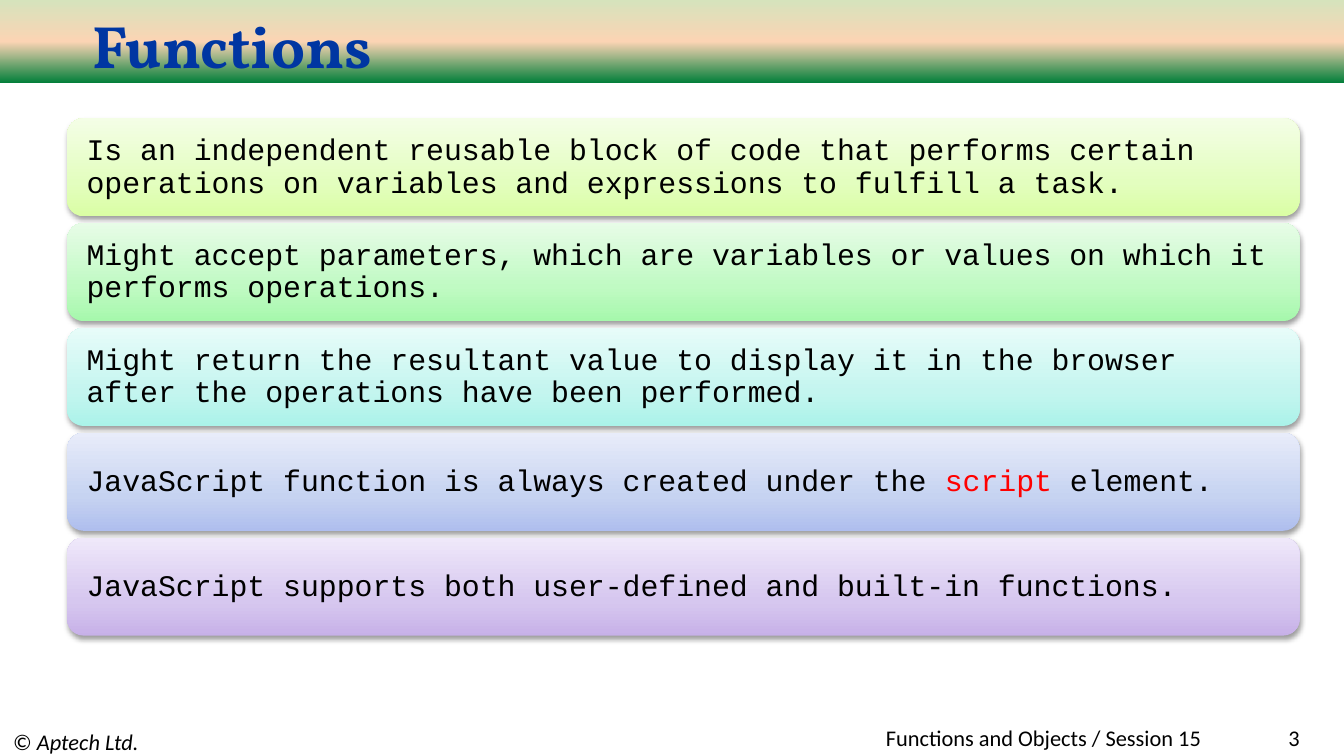
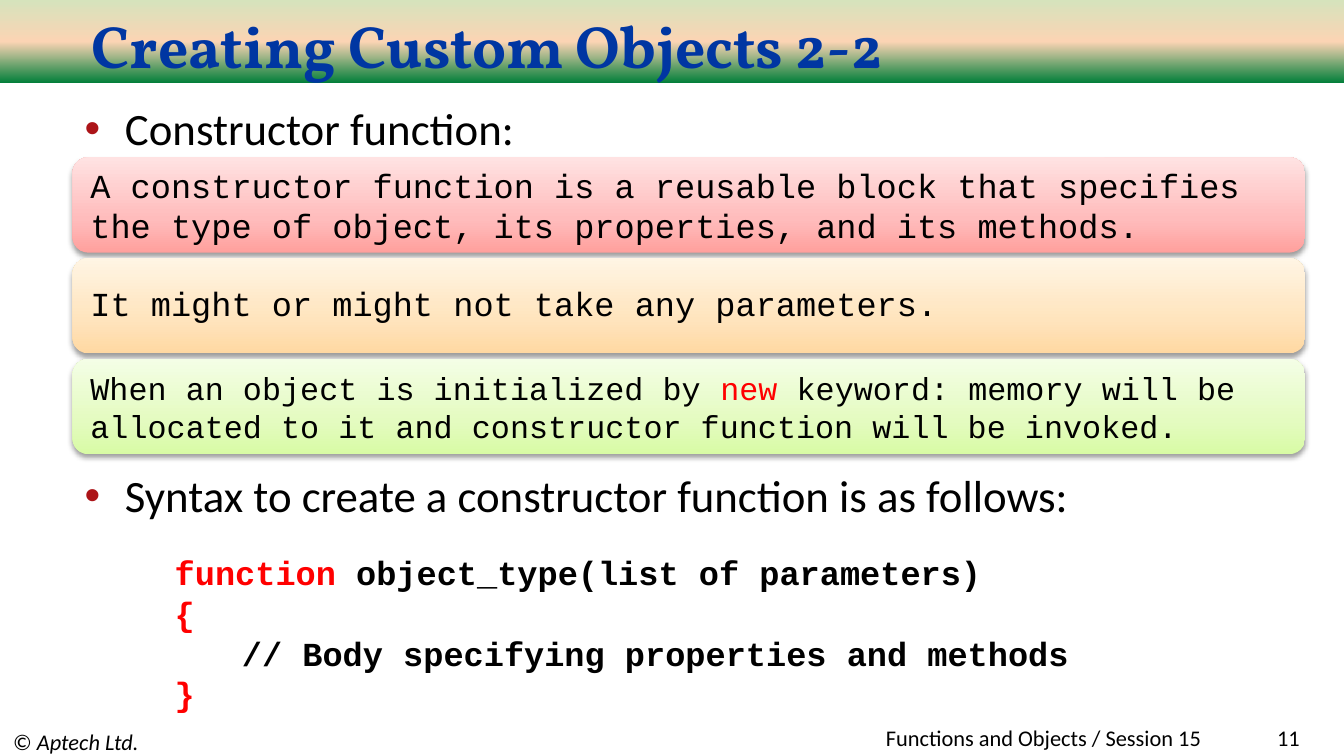
from dataclasses import dataclass
from typing import NamedTuple

from lxml import etree
from pptx import Presentation
from pptx.dml.color import RGBColor
from pptx.enum.shapes import MSO_SHAPE as Shape
from pptx.enum.text import MSO_ANCHOR as Anchor, MSO_AUTO_SIZE as AutoSize, PP_ALIGN as Align
from pptx.oxml.ns import qn
from pptx.util import Inches, Pt


@dataclass(frozen=True)
class Theme:
    heading: str = "Vollkorn"
    body: str = "Calibri"
    code: str = "Courier New"
    title_color: str = "0036A2"
    text: str = "000000"
    keyword: str = "FF0000"
    bullet: str = "AC1418"
    title_size: float = 32
    bullet_size: float = 24
    code_size: float = 18
    footer_size: float = 12
    band: tuple = ((0, "007E39"), (50, "FBD4B4"), (100, "D6E3BC"))


T = Theme()


class Box(NamedTuple):
    left: float
    top: float
    width: float
    height: float


class Insets(NamedTuple):
    left: float = 0.1
    top: float = 0.05
    right: float = 0.1
    bottom: float = 0.05


class Run(NamedTuple):
    text: str
    color: str = T.text
    italic: bool = False


class Line(NamedTuple):
    runs: list
    margin: float
    indent: float
    before: float = 0
    bullet: bool = False


class Card(NamedTuple):
    colors: tuple
    runs: list
    size: float
    spacing: float = 0.9


class Stack(NamedTuple):
    left: float
    top: float
    height: float
    pitch: float
    inset: float
    cards: list


def place(shape, box: Box) -> None:
    shape.left, shape.top, shape.width, shape.height = map(Inches, box)


def prepare(tf, insets: Insets = Insets(), anchor=Anchor.MIDDLE) -> None:
    tf.word_wrap = True
    tf.auto_size = AutoSize.NONE
    tf.vertical_anchor = anchor
    tf.margin_left, tf.margin_top, tf.margin_right, tf.margin_bottom = map(Inches, insets)


def add_runs(p, runs: list, font: str, size: float, bold: bool = False) -> None:
    for run in runs:
        r = p.add_run()
        r.text = run.text
        r.font.name = font
        r.font.size = Pt(size)
        r.font.bold = bold
        r.font.italic = run.italic
        r.font.color.rgb = RGBColor.from_string(run.color)


def add_gradient(shape, stops: tuple) -> None:
    shape.fill.gradient()
    shape.fill.gradient_angle = 90
    gs_list = shape.element.spPr.find(qn("a:gradFill")).find(qn("a:gsLst"))
    for old in list(gs_list):
        gs_list.remove(old)
    for pos, color in stops:
        gs = etree.SubElement(gs_list, qn("a:gs"), pos=str(pos * 1000))
        etree.SubElement(gs, qn("a:srgbClr"), val=color)
    shape.line.fill.background()
    shape.shadow.inherit = False


def add_shadow(shape) -> None:
    effects = shape.element.spPr.find(qn("a:effectLst"))
    shadow = etree.SubElement(effects, qn("a:outerShdw"), blurRad=str(Pt(3.1)),
                              dist=str(Pt(1.6)), dir="5400000", rotWithShape="0")
    color = etree.SubElement(shadow, qn("a:srgbClr"), val="000000")
    etree.SubElement(color, qn("a:alpha"), val="38000")


def add_label(s, box: Box, runs: list, align=Align.LEFT, insets: Insets = Insets()):
    sp = s.shapes.add_textbox(*map(Inches, box))
    prepare(sp.text_frame, insets)
    p = sp.text_frame.paragraphs[0]
    p.alignment = align
    add_runs(p, runs, T.body, T.footer_size)
    return sp


def fill_master(prs, s) -> None:
    band = s.shapes.add_shape(Shape.RECTANGLE, *map(Inches, Box(0, 0, 10, 0.62)))
    add_gradient(band, T.band)
    notice = add_label(s, Box(0, 5.42, 3.33, 0.2), [Run("© "), Run("Aptech Ltd.", italic=True)])
    for offset, sp in enumerate((band, notice)):
        sp.element.xpath("./p:nvSpPr/p:cNvPr")[0].set("id", str(101 + offset))
        prs.slide_master.shapes.element.insert(2 + offset, sp.element)


def add_frame(s, title: str, box: Box, insets: Insets, number: int) -> None:
    sp = s.shapes.title
    place(sp, box)
    prepare(sp.text_frame, insets)
    p = sp.text_frame.paragraphs[0]
    p.alignment = Align.LEFT
    add_runs(p, [Run(title, T.title_color)], T.heading, T.title_size, bold=True)
    add_label(s, Box(8.92, 5.42, 0.85, 0.14), [Run(str(number))], Align.RIGHT)
    add_label(s, Box(2.5, 5.42, 6.58, 0.14), [Run("Functions and Objects / Session 15")],
              Align.RIGHT, Insets(right=0.14))


def add_stack(s, stack: Stack) -> None:
    for i, card in enumerate(stack.cards):
        box = Box(stack.left, stack.top + i * stack.pitch, 9.17, stack.height)
        sp = s.shapes.add_shape(Shape.ROUNDED_RECTANGLE, *map(Inches, box))
        add_gradient(sp, tuple(zip((0, 35, 100), card.colors)))
        add_shadow(sp)
        prepare(sp.text_frame, Insets(left=stack.inset, right=stack.inset))
        p = sp.text_frame.paragraphs[0]
        p.alignment = Align.LEFT
        p.line_spacing = card.spacing
        add_runs(p, card.runs, T.code, card.size)


def fill_body(sp, box: Box, lines: list) -> None:
    place(sp, box)
    tf = sp.text_frame
    prepare(tf, anchor=Anchor.TOP)
    for i, line in enumerate(lines):
        p = tf.add_paragraph() if i else tf.paragraphs[0]
        p.level = 1
        p.alignment = Align.JUSTIFY
        p.space_before = Pt(line.before)
        props = p._p.get_or_add_pPr()
        props.set("marL", str(Inches(line.margin)))
        props.set("indent", str(Inches(line.indent)))
        if line.bullet:
            color = etree.SubElement(props, qn("a:buClr"))
            etree.SubElement(color, qn("a:srgbClr"), val=T.bullet)
            etree.SubElement(props, qn("a:buFont"), typeface="Arial")
            etree.SubElement(props, qn("a:buChar"), char="•")
            add_runs(p, line.runs, T.body, T.bullet_size)
        else:
            etree.SubElement(props, qn("a:buNone"))
            add_runs(p, line.runs, T.code, T.code_size, bold=True)


def bullet(text: str) -> Line:
    return Line([Run(text)], 0.5, -0.3, bullet=True)


def code(*runs: Run, indent: float = -0.5, before: float = 0) -> Line:
    return Line(list(runs), 1.37, indent, before)


FUNCTIONS = Stack(0.5, 0.88, 0.73, 0.78, 0.11, [
    Card(("DAFEA4", "E3FEBF", "F4FEE6"),
         [Run("Is an independent reusable block of code that performs certain "
              "operations on variables and expressions to fulfill a task.")], 16),
    Card(("A6F8AC", "C0FAC3", "E7FCE7"),
         [Run("Might accept parameters, which are variables or values on which it "
              "performs operations.")], 16),
    Card(("ABF3E9", "C4F5EF", "E7FCF9"),
         [Run("Might return the resultant value to display it in the browser "
              "after the operations have been performed.")], 16),
    Card(("AFBEEE", "C6D3F1", "E8ECFA"),
         [Run("JavaScript function is always created under the "),
          Run("script ", T.keyword), Run("element.")], 16),
    Card(("C7B1E8", "D6C7EF", "EFE8FA"),
         [Run("JavaScript supports both user-defined and built-in functions.")], 16),
])

CONSTRUCTOR = Stack(0.54, 1.17, 0.71, 0.75, 0.1, [
    Card(("FFA09D", "FFBCBC", "FFE2E2"),
         [Run("A constructor function is a reusable block that specifies "
              "the type of object, its properties, and its methods.")], 18, 1.0),
    Card(("FFD8A2", "FFE4BD", "FFF5E4"),
         [Run("It might or might not take any parameters.")], 18),
    Card(("D8FBA5", "E4FBC0", "F4FEE6"),
         [Run("When an object is initialized by "), Run("new", T.keyword),
          Run(" keyword: memory will be allocated to it and constructor "
              "function will be invoked.")], 17, 1.0),
])

SYNTAX = [
    bullet("Syntax to create a constructor function is as follows:"),
    code(Run("function", T.keyword), Run(" object_type(list of parameters)"), before=16.5),
    code(Run("{", T.keyword)),
    code(Run("// Body specifying properties and methods"), indent=0),
    code(Run("}", T.keyword)),
]


def main() -> None:
    prs = Presentation()
    prs.slide_width = Inches(10)
    prs.slide_height = prs.slide_width * 9 // 16
    title_only, two_content = prs.slide_layouts[5], prs.slide_layouts[3]

    s = prs.slides.add_slide(title_only)
    fill_master(prs, s)
    add_frame(s, "Functions", Box(0.5, 0.16, 9.33, 0.34), Insets(left=0.19), 3)
    add_stack(s, FUNCTIONS)

    s = prs.slides.add_slide(two_content)
    add_frame(s, "Creating Custom Objects 2-2", Box(0.58, 0.16, 8.33, 0.34), Insets(), 11)
    add_stack(s, CONSTRUCTOR)
    fill_body(s.placeholders[1], Box(0.33, 0.7, 9.33, 0.38), [bullet("Constructor function:")])
    fill_body(s.placeholders[2], Box(0.33, 3.43, 9.33, 1.92), SYNTAX)

    prs.save("out.pptx")


if __name__ == "__main__":
    main()
